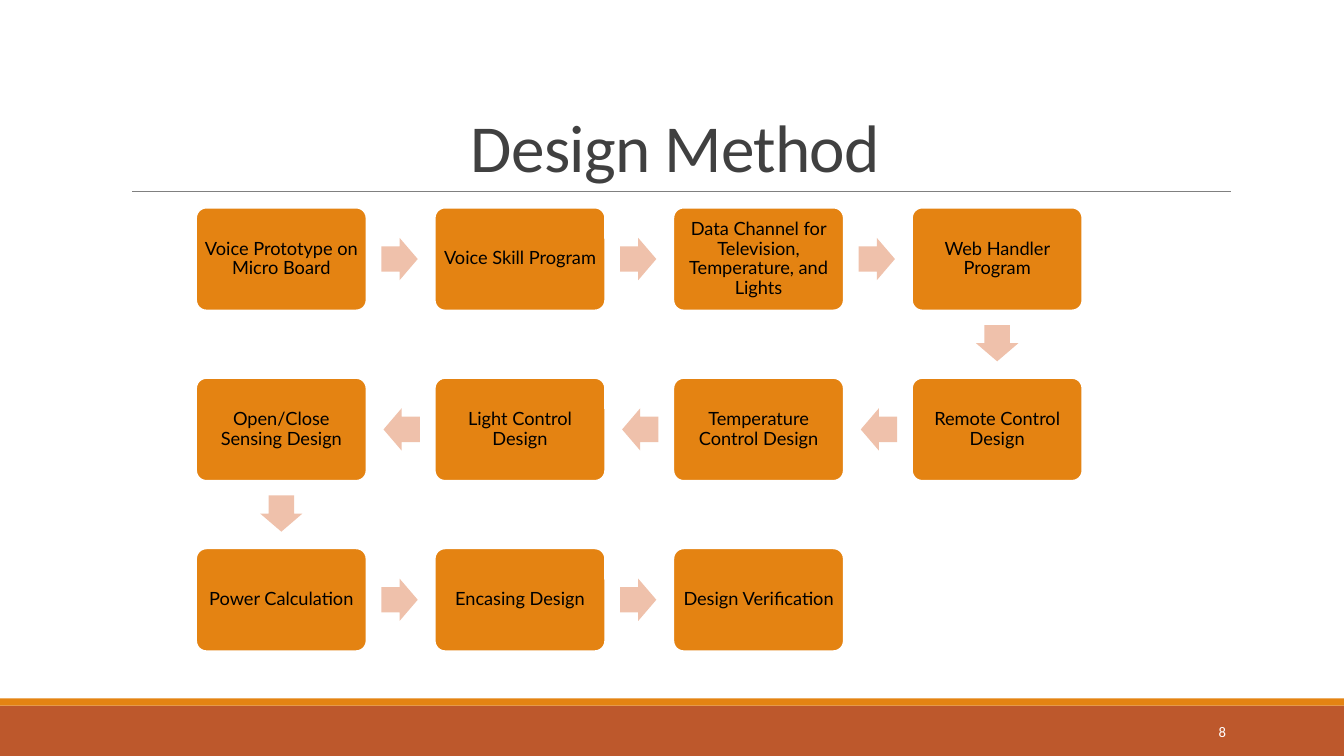
"""Build the Design Method slide: a winding chain of process steps."""
import dataclasses
import itertools
import math

import lxml.etree
import pptx
import pptx.dml.color
import pptx.enum.shapes
import pptx.enum.text
import pptx.oxml.ns
import pptx.util

Inches = pptx.util.Inches
Shapes = pptx.enum.shapes.MSO_SHAPE
Align = pptx.enum.text.PP_ALIGN
Anchor = pptx.enum.text.MSO_ANCHOR

ORANGE, RUST, PEACH = "E48312", "BD582C", "EFC1AB"
COLUMNS = 4
FIRST_X, FIRST_Y = 2.79, 2.57
COLUMN_PITCH, ROW_PITCH = 7.1 / 3, 1.69
STEP_WIDTH, STEP_HEIGHT = 1.69, 1.02
ARROW_WIDTH, ARROW_HEIGHT = 0.36, 0.42
ARROW_SETBACK = 0.01
STEP_LABELS = [
    "Voice Prototype on Micro Board",
    "Voice Skill Program",
    "Data Channel for Television, Temperature, and Lights",
    "Web Handler Program",
    "Remote Control Design",
    "Temperature Control Design",
    "Light Control Design",
    "Open/Close Sensing Design",
    "Power Calculation",
    "Encasing Design",
    "Design Verification",
]


@dataclasses.dataclass(frozen=True)
class Box:
    left: float
    top: float
    width: float
    height: float


@dataclasses.dataclass(frozen=True)
class TextStyle:
    font: str
    size: float
    color: str
    alignment: Align
    anchor: Anchor
    line_spacing: float = 1.0


@dataclasses.dataclass(frozen=True)
class Step:
    label: str
    x: float
    y: float


TITLE_STYLE = TextStyle("Calibri", 48, "404040", Align.CENTER, Anchor.BOTTOM, 0.85)
STEP_STYLE = TextStyle("Lato", 13, "000000", Align.CENTER, Anchor.MIDDLE, 0.9)
NUMBER_STYLE = TextStyle("Calibri", 10.5, "FFFFFF", Align.RIGHT, Anchor.MIDDLE)


def rgb(color: str) -> pptx.dml.color.RGBColor:
    return pptx.dml.color.RGBColor.from_string(color)


def centred_box(x: float, y: float, width: float, height: float) -> Box:
    return Box(x - width / 2, y - height / 2, width, height)


def lengths(box: Box) -> list[pptx.util.Length]:
    return [Inches(value) for value in dataclasses.astuple(box)]


def write_text(shape, text: str, style: TextStyle):
    frame = shape.text_frame
    frame.word_wrap = True
    frame.auto_size = pptx.enum.text.MSO_AUTO_SIZE.NONE
    frame.vertical_anchor = style.anchor
    paragraph = frame.paragraphs[0]
    paragraph.alignment = style.alignment
    paragraph.line_spacing = style.line_spacing
    run = paragraph.add_run()
    run.text = text
    run.font.name = style.font
    run.font.size = pptx.util.Pt(style.size)
    run.font.color.rgb = rgb(style.color)
    return run


def add_filled_shape(slide, kind: Shapes, box: Box, fill: str):
    shape = slide.shapes.add_shape(kind, *lengths(box))
    shape.shadow.inherit = False
    shape.fill.solid()
    shape.fill.fore_color.rgb = rgb(fill)
    shape.line.fill.background()
    return shape


def add_title(slide) -> None:
    title = slide.shapes.title
    title.left, title.top, title.width, title.height = lengths(Box(1.2, 0.31, 11, 1.59))
    run = write_text(title, "Design Method", TITLE_STYLE)
    run.font._element.set("spc", "-50")


def add_title_rule(slide) -> None:
    rule = slide.shapes.add_connector(
        pptx.enum.shapes.MSO_CONNECTOR.STRAIGHT,
        Inches(1.31), Inches(1.9), Inches(12.21), Inches(1.9))
    rule.line.color.rgb = rgb("808080")
    rule.line.width = pptx.util.Pt(0.5)
    lxml.etree.SubElement(rule._element.spPr, pptx.oxml.ns.qn("a:effectLst"))


def place_step(index: int, label: str) -> Step:
    row, column = divmod(index, COLUMNS)
    if row % 2:
        column = COLUMNS - 1 - column
    return Step(label, FIRST_X + column * COLUMN_PITCH, FIRST_Y + row * ROW_PITCH)


def add_step(slide, step: Step) -> None:
    box = centred_box(step.x, step.y, STEP_WIDTH, STEP_HEIGHT)
    shape = add_filled_shape(slide, Shapes.ROUNDED_RECTANGLE, box, ORANGE)
    shape.adjustments[0] = 0.1
    shape.line.color.rgb = rgb("FFFFFF")
    shape.line.width = pptx.util.Pt(1.25)
    frame = shape.text_frame
    frame.margin_left = frame.margin_right = Inches(0.04)
    frame.margin_top = frame.margin_bottom = Inches(0.05)
    write_text(shape, step.label, STEP_STYLE)


def add_arrow(slide, start: Step, end: Step) -> None:
    angle = math.atan2(end.y - start.y, end.x - start.x)
    x = (start.x + end.x) / 2 - ARROW_SETBACK * math.cos(angle)
    y = (start.y + end.y) / 2 - ARROW_SETBACK * math.sin(angle)
    box = centred_box(x, y, ARROW_WIDTH, ARROW_HEIGHT)
    arrow = add_filled_shape(slide, Shapes.RIGHT_ARROW, box, PEACH)
    arrow.adjustments[0] = 0.6
    arrow.adjustments[1] = 0.5
    arrow.rotation = round(math.degrees(angle))


def main() -> None:
    presentation = pptx.Presentation()
    presentation.slide_width = Inches(13.33)
    presentation.slide_height = Inches(7.5)
    slide = presentation.slides.add_slide(presentation.slide_layouts.get_by_name("Title Only"))

    add_filled_shape(slide, Shapes.RECTANGLE, Box(0, 7, 13.33, 0.5), RUST)
    add_filled_shape(slide, Shapes.RECTANGLE, Box(0, 6.93, 13.33, 0.07), ORANGE)
    add_title_rule(slide)
    add_title(slide)

    steps = [place_step(index, label) for index, label in enumerate(STEP_LABELS)]
    for step in steps:
        add_step(slide, step)
    for start, end in itertools.pairwise(steps):
        add_arrow(slide, start, end)

    number = slide.shapes.add_textbox(*lengths(Box(10.83, 7.06, 1.43, 0.4)))
    write_text(number, "8", NUMBER_STYLE)
    presentation.save("out.pptx")


if __name__ == "__main__":
    main()
